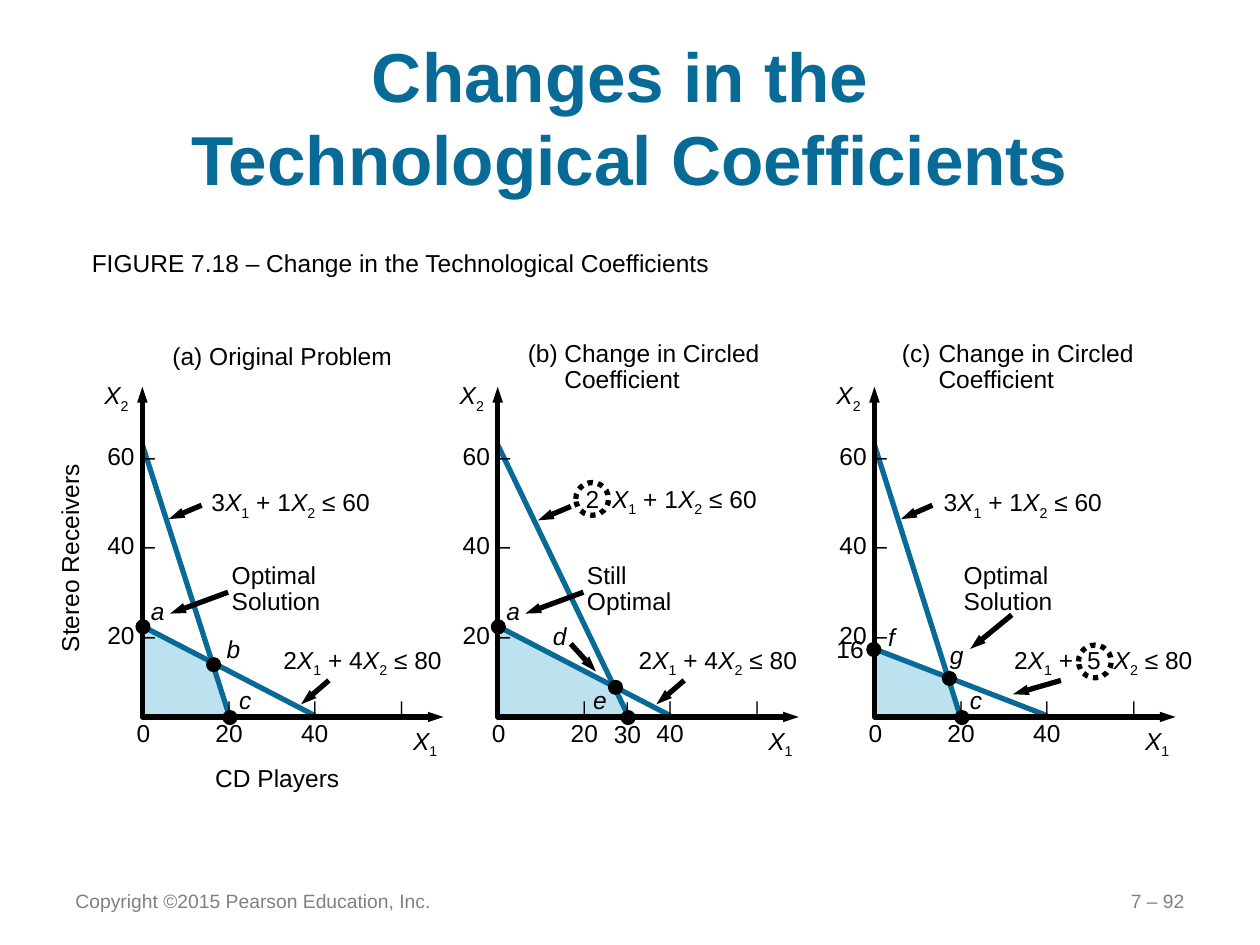
import pptx
import pptx.util
import pptx.dml.color
import pptx.enum.dml
import pptx.enum.shapes
import pptx.enum.text
import pptx.oxml.ns
import lxml.etree

PX = 9144
INK, BLUE, PALE, GREY = "000000", "086B97", "BBE2EE", "808080"
ALIGN = pptx.enum.text.PP_ALIGN
ANCHOR = pptx.enum.text.MSO_ANCHOR
FIT = pptx.enum.text.MSO_AUTO_SIZE
OVAL = pptx.enum.shapes.MSO_SHAPE.OVAL
STRAIGHT = pptx.enum.shapes.MSO_CONNECTOR.STRAIGHT

PANELS = [
    {"left": 64, "head": ("(a) Original Problem", 63, 196),
     "area": [(49, 231), (49, 302), (119, 302), (105, 261)],
     "lines": [(49, 87, 118, 302), (49, 231, 186, 302)],
     "arrows": [(96, 135, 70, 146), (117, 204, 71, 221), (197, 274, 175, 293)],
     "rules": [("3X1 + 1X2 ≤ 60", 94, 116, 149, []),
               ("2X1 + 4X2 ≤ 80", 151, 241, 149, [])],
     "note": "Optimal Solution", "rings": [],
     "dots": [(44, 226), (100, 256), (113, 298)],
     "names": [("a", 46, 202, 36), ("b", 106, 232, 37), ("c", 116, 273, 36)]},
    {"left": 346, "head": ("(b)\tChange in Circled Coefficient", 63, 219),
     "area": [(49, 231), (49, 302), (151, 302), (141, 279)],
     "lines": [(49, 87, 153, 303), (49, 231, 186, 302)],
     "arrows": [(107, 136, 81, 147), (117, 204, 71, 221),
                (197, 274, 175, 293), (107, 245, 127, 267)],
     "rules": [("2\tX1 + 1X2 ≤ 60", 109, 113, 170, [21]),
               ("2X1 + 4X2 ≤ 80", 151, 241, 149, [])],
     "note": "Still Optimal", "rings": [(111, 117)],
     "dots": [(44, 226), (137, 274), (147, 298)],
     "names": [("a", 46, 202, 36), ("d", 83, 222, 37), ("e", 115, 273, 36)]},
    {"left": 645, "head": ("(c)\tChange in Circled Coefficient", 61, 219),
     "area": [(49, 249), (49, 302), (117, 302), (108, 272)],
     "lines": [(49, 87, 117, 302), (49, 249, 186, 302)],
     "arrows": [(95, 135, 70, 146), (158, 222, 125, 249), (197, 274, 159, 285)],
     "rules": [("3X1 + 1X2 ≤ 60", 94, 116, 149, []),
               ("2X1 +\t5\tX2 ≤ 80", 150, 241, 175, [58, 79])],
     "note": "Optimal Solution", "rings": [(211, 246)],
     "dots": [(43, 244), (103, 267), (113, 298)],
     "names": [("f", 50, 223, 31), ("g", 99, 237, 37), ("c", 115, 273, 36)]},
]


def emu(*nums):
    """Turn px into EMU."""
    return [pptx.util.Emu(num * PX) for num in nums]


def tint(obj, hue):
    """Colour a fill or font from a hex string."""
    if hasattr(obj, "solid"):
        obj.solid()
        obj.fore_color.rgb = pptx.dml.color.RGBColor.from_string(hue)
    else:
        obj.color.rgb = pptx.dml.color.RGBColor.from_string(hue)


def style(obj, vals):
    """Set attributes from a dict."""
    for key, val in vals.items():
        setattr(obj, key, val)


def node(par, tag, **vals):
    """Append a drawing element with attributes."""
    kid = lxml.etree.SubElement(par, pptx.oxml.ns.qn(tag))
    for key, val in vals.items():
        kid.set(key, str(val))
    return kid


def run(para, text, size, hue, slant=False, sub=False):
    """Add one formatted run."""
    part = para.add_run()
    part.text = text
    style(part.font, {"name": "Arial", "size": pptx.util.Pt(size), "italic": slant})
    tint(part.font, hue)
    if sub:
        part.font._element.set("baseline", "-25000")


def rich(para, text, size, hue, slant):
    """Add text, with each X italic and its index lowered."""
    first, *rest = text.split("X")
    if first:
        run(para, first, size, hue, slant)
    for part in rest:
        run(para, "X", size, hue, True)
        run(para, part[0], size, hue, sub=True)
        if part[1:]:
            run(para, part[1:], size, hue)


def write(slide, box, lines, sizes=(14,), hue=INK, slant=False, wrap=False,
          tabs=(), mode="l", hang=0, para={}, frame={}):
    """Place a text box with one paragraph per line."""
    shape = slide.shapes.add_textbox(*emu(*box))
    body = shape.text_frame
    style(body, {"word_wrap": wrap, "auto_size": FIT.SHAPE_TO_FIT_TEXT, **frame})
    for num, text in enumerate(lines):
        item = body.add_paragraph() if num else body.paragraphs[0]
        props = item._p.get_or_add_pPr()
        if tabs:
            stops = node(props, "a:tabLst")
            for tab in tabs:
                node(stops, "a:tab", pos=tab * PX, algn=mode)
        if hang:
            props.set("marL", str(hang * PX))
            props.set("indent", str(-hang * PX))
        style(item, para)
        rich(item, text, sizes[num % len(sizes)], hue, slant)
    return shape


def tip(shape, *ends):
    """Add arrowheads to a line."""
    for end in ends:
        node(shape.line._get_or_add_ln(), end, type="triangle", w="sm", len="med")


def rule(slide, left, top, ends, hue):
    """Draw a straight line inside a box."""
    x1, y1, x2, y2 = ends
    line = slide.shapes.add_connector(
        STRAIGHT, *emu(left + x1, top + y1, left + x2, top + y2))
    line.line.width = pptx.util.Pt(3)
    tint(line.line.fill, hue)
    node(line._element.spPr, "a:effectLst")
    return line


def trace(slide, left, top, spots, close):
    """Build an outline through points inside a box."""
    spots = [emu(left + x, top + y) for x, y in spots]
    pen = slide.shapes.build_freeform(*spots[0])
    pen.add_line_segments(spots[1:], close=close)
    shape = pen.convert_to_shape()
    shape.shadow.inherit = False
    return shape


def disc(slide, left, top, size, solid):
    """Draw a solid dot or a dotted ring."""
    shape = slide.shapes.add_shape(OVAL, *emu(left, top, size, size))
    shape.shadow.inherit = False
    tint(shape.line.fill, INK)
    shape.line.width = pptx.util.Pt(0.75 if solid else 3)
    if solid:
        tint(shape.fill, INK)
    else:
        shape.fill.background()
        shape.line.dash_style = pptx.enum.dml.MSO_LINE.ROUND_DOT


def axes(slide, left, top):
    """Draw both axes with their ticks and names."""
    shape = trace(slide, left, top, [(49, 41), (49, 303), (288, 303)], False)
    shape.fill.background()
    shape.line.width = pptx.util.Pt(3)
    tint(shape.line.fill, INK)
    tip(shape, "a:headEnd", "a:tailEnd")
    write(slide, (left + 9, top + 31, 60, 218), [f"{n} –" for n in (60, 40, 20)],
          para={"alignment": ALIGN.RIGHT, "line_spacing": 3.05})
    write(slide, (left, top + 282, 297, 50), ["\t\t|\t|\t|", "\t0\t20\t40"],
          (10, 14), wrap=True, tabs=(40, 108, 176, 245), mode="ctr")
    write(slide, (left + 9, top + 31, 43, 34), ["X2"])
    write(slide, (left + 254, top + 305, 43, 34), ["X1"])


def panel(slide, top, data):
    """Draw one graph with its labels."""
    left = data["left"]
    area = trace(slide, left, top, data["area"], True)
    tint(area.fill, PALE)
    area.line.fill.background()
    for ends in data["lines"]:
        rule(slide, left, top, ends, BLUE)
    for ends in data["arrows"]:
        tip(rule(slide, left, top, ends, INK), "a:tailEnd")
    text, x, wide = data["head"]
    long = "\t" in text
    write(slide, (left + x, top, wide, 53 if long else 34), [text], wrap=long,
          hang=29 if long else 0, para={"line_spacing": 0.9} if long else {})
    for text, x, y, wide, tabs in data["rules"]:
        write(slide, (left + x, top + y, wide, 34), [text], tabs=tabs, wrap=bool(tabs))
    write(slide, (left + 110, top + 176, 101, 53), [data["note"]], wrap=True,
          para={"line_spacing": 0.9})
    axes(slide, left, top)
    for x, y in data["rings"]:
        disc(slide, left + x, top + y, 26, False)
    for x, y in data["dots"]:
        disc(slide, left + x, top + y, 11, True)
    for text, x, y, wide in data["names"]:
        write(slide, (left + x, top + y, wide, 34), [text], slant=True)


def head(slide, box):
    """Place and format the title."""
    title = slide.shapes.title
    style(title, dict(zip(("left", "top", "width", "height"), emu(*box))))
    body = title.text_frame
    body.text = "Changes in the \vTechnological Coefficients"
    style(body, {"auto_size": FIT.NONE, "vertical_anchor": ANCHOR.MIDDLE})
    body.paragraphs[0].alignment = ALIGN.CENTER
    for part in body.paragraphs[0].runs:
        style(part.font, {"name": "Arial", "size": pptx.util.Pt(39.6), "bold": True})
        tint(part.font, BLUE)


def foot(slide, top):
    """Place the copyright line and the page number."""
    for x, wide, text, side in ((50, 308, "Copyright ©2015 Pearson Education, Inc.", ALIGN.LEFT),
                                (717, 233, "7 – 92", ALIGN.RIGHT)):
        write(slide, (x, top, wide, 40), [text], (11,), GREY, wrap=True,
              para={"alignment": side},
              frame={"auto_size": FIT.NONE, "vertical_anchor": ANCHOR.MIDDLE})


def main():
    """Build and save the slide."""
    deck = pptx.Presentation()
    deck.slide_width, deck.slide_height = emu(1000, 750)
    slide = deck.slides.add_slide(deck.slide_layouts[5])
    head(slide, (50, 30, 900, 125))
    write(slide, (63, 192, 519, 34), ["FIGURE 7.18 – Change in the Technological Coefficients"])
    for data in PANELS:
        panel(slide, 266, data)
    write(slide, (-30, 425, 171, 34), ["Stereo Receivers"]).rotation = 270
    write(slide, (161, 601, 123, 33), ["CD Players"])
    write(slide, (477, 549, 42, 50), ["|", "30"], (10, 14), para={"alignment": ALIGN.CENTER})
    write(slide, (654, 498, 42, 33), ["16"])
    foot(slide, 695)
    deck.save("out.pptx")


if __name__ == "__main__":
    main()
